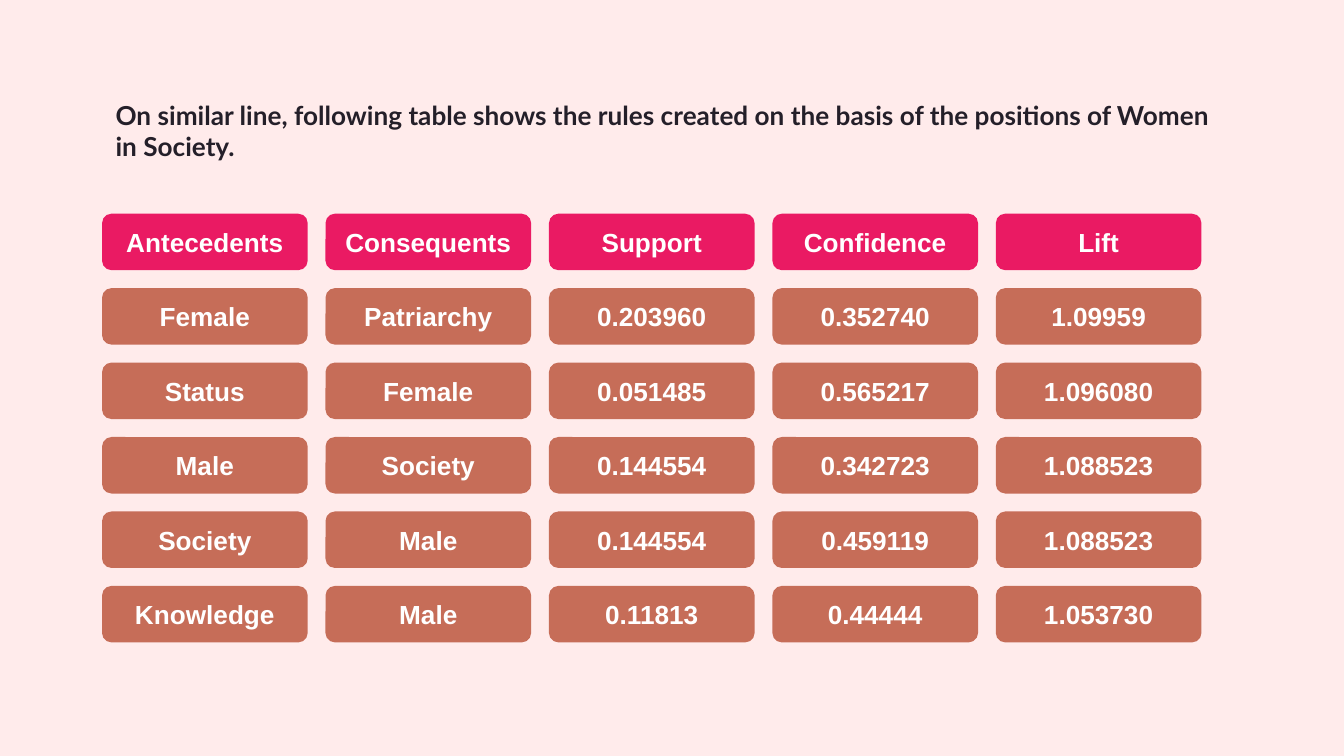
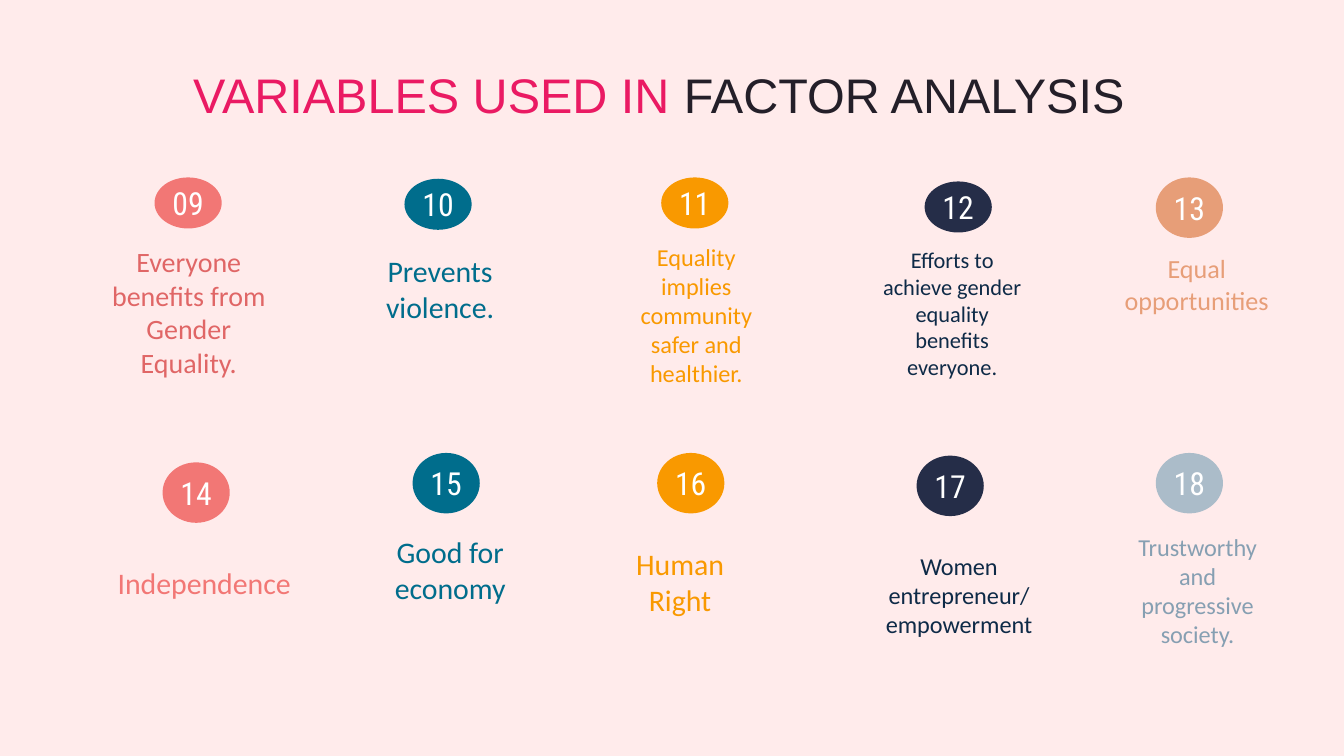
from dataclasses import dataclass

import pptx
import pptx.dml.color
import pptx.enum.shapes
import pptx.enum.text
import pptx.util

Inches = pptx.util.Inches
Pt = pptx.util.Pt
RGBColor = pptx.dml.color.RGBColor
MSO_SHAPE = pptx.enum.shapes.MSO_SHAPE
ANCHOR = pptx.enum.text.MSO_ANCHOR
ALIGN = pptx.enum.text.PP_ALIGN
AUTO_SIZE = pptx.enum.text.MSO_AUTO_SIZE

# Colours
BLUSH = RGBColor(0xFF, 0xEB, 0xEB)
INK = RGBColor(0x24, 0x1F, 0x29)
PINK = RGBColor(0xEA, 0x1A, 0x63)
CLAY = RGBColor(0xC6, 0x6D, 0x58)
WHITE = RGBColor(0xFF, 0xFF, 0xFF)
CORAL = RGBColor(0xF2, 0x77, 0x75)
RED = RGBColor(0xE0, 0x66, 0x66)
TEAL = RGBColor(0x00, 0x6D, 0x8C)
ORANGE = RGBColor(0xF9, 0x99, 0x00)
NAVY = RGBColor(0x25, 0x2D, 0x48)
DEEP_BLUE = RGBColor(0x0E, 0x2A, 0x47)
PEACH = RGBColor(0xE7, 0x9E, 0x78)
MIST = RGBColor(0xAB, 0xBC, 0xC9)
SLATE = RGBColor(0x86, 0x9F, 0xB2)

# Text formats
TITLE_LEAD = {"name": "Lato", "size": Pt(14), "bold": True}
TITLE_HEADING = {"name": "Arial", "size": Pt(26), "bold": False}
CELL_FONT = {"name": "Arial", "size": Pt(14), "bold": True}
BADGE_FONT = {"name": "Roboto Condensed", "size": Pt(17)}
LABEL_FONT = {"name": "Calibri"}

INSET = Inches(0.1)
FRAME = {
    "word_wrap": True,
    "auto_size": AUTO_SIZE.NONE,
    "vertical_anchor": ANCHOR.TOP,
    "margin_left": INSET,
    "margin_top": INSET,
    "margin_right": INSET,
    "margin_bottom": INSET,
}
CELL_FRAME = FRAME | {"vertical_anchor": ANCHOR.MIDDLE}
BADGE_FRAME = CELL_FRAME | {"margin_left": 0, "margin_right": 0}
LABEL_FRAME = FRAME | {"auto_size": AUTO_SIZE.SHAPE_TO_FIT_TEXT}

# Rules grid
RULES = [
    ("Antecedents", "Consequents", "Support", "Confidence", "Lift"),
    ("Female", "Patriarchy", "0.203960", "0.352740", "1.09959"),
    ("Status", "Female", "0.051485", "0.565217", "1.096080"),
    ("Male", "Society", "0.144554", "0.342723", "1.088523"),
    ("Society", "Male", "0.144554", "0.459119", "1.088523"),
    ("Knowledge", "Male", "0.11813", "0.44444", "1.053730"),
]
RULES_BOX = (0.76, 1.59, 8.18, 3.19)
CELL_WIDTH, CELL_HEIGHT = 1.53, 0.42


@dataclass
class Variable:
    """A numbered badge above its label; box runs from badge top to label bottom."""
    number: str
    text: str
    box: tuple
    badge_indent: float
    badge_height: float
    label_drop: float
    size: int
    badge_color: RGBColor
    text_color: RGBColor


BADGE_WIDTH = 0.5
FLAT, ROUND = 0.38, 0.45
VARIABLES = [
    Variable("09", "Everyone benefits from Gender Equality.",
             (0.67, 1.32, 1.47, 1.85), 0.48, FLAT, 0.4, 15, CORAL, RED),
    Variable("10", "Prevents violence.",
             (2.59, 1.33, 1.37, 1.41), 0.42, FLAT, 0.45, 16, TEAL, TEAL),
    Variable("11", "Equality implies community safer and healthier.",
             (4.57, 1.32, 1.22, 1.68), 0.35, FLAT, 0.38, 13, ORANGE, ORANGE),
    Variable("12", "Efforts to achieve gender equality benefits everyone.",
             (6.43, 1.35, 1.31, 1.81), 0.45, FLAT, 0.38, 12, NAVY, DEEP_BLUE),
    Variable("13", "Equal opportunities",
             (8.22, 1.32, 1.37, 1.13), 0.38, ROUND, 0.46, 14, PEACH, PEACH),
    Variable("14", "Independence",
             (0.67, 3.44, 1.7, 1.13), 0.54, ROUND, 0.66, 16, CORAL, CORAL),
    Variable("15", "Good for economy",
             (2.74, 3.37, 1.22, 1.24), 0.33, ROUND, 0.5, 16, TEAL, TEAL),
    Variable("16", "Human Right",
             (4.45, 3.37, 1.22, 1.57), 0.44, ROUND, 0.59, 16, ORANGE, ORANGE),
    Variable("17", "Women entrepreneur/ empowerment",
             (6.48, 3.39, 1.31, 1.7), 0.34, ROUND, 0.61, 13, NAVY, DEEP_BLUE),
    Variable("18", "Trustworthy and progressive society.",
             (8.3, 3.37, 1.22, 1.57), 0.3, ROUND, 0.49, 13, MIST, SLATE),
]


def apply_format(target, values):
    for name, value in values.items():
        setattr(target, name, value)


def write(shape, runs, font, frame, alignment=ALIGN.CENTER):
    """Fill a shape with one paragraph of (text, colour) runs."""
    apply_format(shape.text_frame, frame)
    paragraph = shape.text_frame.paragraphs[0]
    paragraph.alignment = alignment
    for text, color in runs:
        run = paragraph.add_run()
        run.text = text
        apply_format(run.font, font)
        run.font.color.rgb = color


def add_filled_shape(parent, kind, box, color, text, font, frame):
    """Add a filled, captioned shape to a slide or a group."""
    shape = parent.shapes.add_shape(kind, *map(Inches, box))
    shape.shadow.inherit = False
    shape.fill.solid()
    shape.fill.fore_color.rgb = color
    shape.line.fill.background()
    write(shape, [(text, WHITE)], font, frame)


def add_titled_slide(presentation, box, runs, font, alignment):
    slide = presentation.slides.add_slide(presentation.slide_layouts[5])
    title = slide.shapes.title
    title.left, title.top, title.width, title.height = map(Inches, box)
    write(title, runs, font, FRAME, alignment)
    return slide


def add_rules_grid(slide, box):
    left, top, width, height = box
    column_step = (width - CELL_WIDTH) / (len(RULES[0]) - 1)
    row_step = (height - CELL_HEIGHT) / (len(RULES) - 1)
    grid = slide.shapes.add_group_shape()
    for column, values in enumerate(zip(*RULES)):
        for row, value in enumerate(values):
            cell_box = (left + column * column_step, top + row * row_step,
                        CELL_WIDTH, CELL_HEIGHT)
            add_filled_shape(grid, MSO_SHAPE.FLOWCHART_ALTERNATE_PROCESS, cell_box,
                             CLAY if row else PINK, value, CELL_FONT, CELL_FRAME)


def add_variable(slide, variable):
    left, top, width, height = variable.box
    badge_box = (left + variable.badge_indent, top, BADGE_WIDTH, variable.badge_height)
    add_filled_shape(slide, MSO_SHAPE.OVAL, badge_box, variable.badge_color,
                     variable.number, BADGE_FONT, BADGE_FRAME)
    drop = variable.label_drop
    label = slide.shapes.add_textbox(*map(Inches, (left, top + drop, width, height - drop)))
    write(label, [(variable.text, variable.text_color)],
          LABEL_FONT | {"size": Pt(variable.size)}, LABEL_FRAME)


def build_rules_slide(presentation):
    lead = ("On similar line, following table shows the rules created on the basis "
            "of the positions of Women in Society.")
    slide = add_titled_slide(presentation, (0.76, 0.64, 8.47, 0.6), [(lead, INK)],
                             TITLE_LEAD, ALIGN.LEFT)
    add_rules_grid(slide, RULES_BOX)


def build_variables_slide(presentation):
    heading = [("VARIABLES USED IN ", PINK), ("FACTOR ANALYSIS", INK)]
    slide = add_titled_slide(presentation, (0.67, 0.38, 8.47, 0.6), heading,
                             TITLE_HEADING, ALIGN.CENTER)
    for variable in VARIABLES:
        add_variable(slide, variable)


def main():
    presentation = pptx.Presentation()
    # Widescreen, 16 to 9
    presentation.slide_width = Inches(10)
    presentation.slide_height = Inches(10 * 9 / 16)
    # Shared background
    background = presentation.slide_master.background.fill
    background.solid()
    background.fore_color.rgb = BLUSH
    build_rules_slide(presentation)
    build_variables_slide(presentation)
    presentation.save("out.pptx")


if __name__ == "__main__":
    main()
